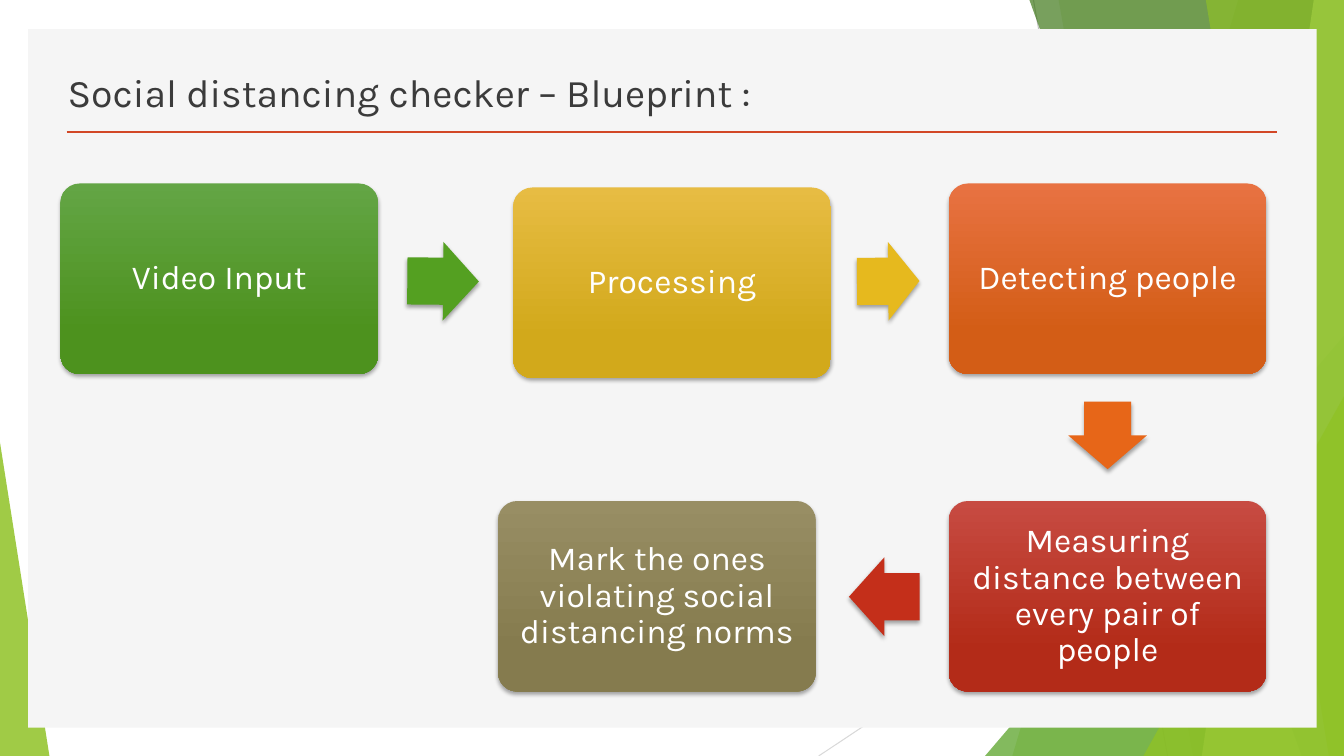
from lxml.etree import SubElement
from pptx import Presentation
from pptx.dml.color import RGBColor
from pptx.enum.shapes import MSO_CONNECTOR, MSO_SHAPE as SHAPE
from pptx.enum.text import MSO_ANCHOR as ANCHOR, MSO_AUTO_SIZE, PP_ALIGN as ALIGN
from pptx.oxml.ns import qn
from pptx.util import Inches, Pt

WIDTH, HEIGHT = 13.33, 7.5
BOX_W, BOX_H = 3.15, 1.89
ARROW_H = 0.78

COLORS = {
    "panel": "F5F5F5", "rule": "D24726", "title": "3B3B3B", "white": "FFFFFF",
    "gray": "BFBFBF", "light_gray": "D9D9D9",
    "lime": "90C226", "green": "54A021", "dark_green": "3F7819", "pale_lime": "C0E474",
    "yellow": "E6B91E", "orange": "E76618", "red": "C42F1A",
}
GRADIENTS = {
    "green": ("63A545", "4D921E"), "yellow": ("E7BC43", "D2A91B"),
    "orange": ("E87242", "D35D16"), "red": ("C74B42", "B32B18"),
    "olive": ("988E64", "857B4E"),
}

# color, opacity, top-left x, bottom-left x of bands reaching the right edge
BANDS_BACK = [("lime", 30, 12.28, 10.04), ("lime", 20, 10.5, 11.83)]
BANDS_FRONT = [("dark_green", 70, 10.21, 12.91), ("pale_lime", 70, 13.03, 11.92),
               ("lime", 65, 11.96, 13.18)]
# text, gradient, left, top
STEPS = [
    ("Video Input", "green", 0.6, 1.82),
    ("Processing", "yellow", 5.09, 1.86),
    ("Detecting people", "orange", 9.41, 1.82),
    ("Measuring distance between every pair of people", "red", 9.41, 4.97),
    ("Mark the ones violating social distancing norms", "olive", 4.94, 4.97),
]
# color, left, top, width, rotation
ARROWS = [
    ("green", 4.04, 2.4, 0.71, 0.5), ("yellow", 8.5, 2.4, 0.62, 359.5),
    ("orange", 10.65, 3.93, 0.67, 90), ("red", 8.42, 5.53, 0.7, 180),
]


def rgb(name):
    return RGBColor.from_string(COLORS[name])


def write(tf, text, size=24, color="white", align=ALIGN.CENTER, anchor=ANCHOR.MIDDLE,
          spacing=0.9, inset=(0.1, 0.05)):
    """Fill a text frame; inset holds the horizontal and vertical margins."""
    tf.word_wrap = True
    tf.auto_size = MSO_AUTO_SIZE.NONE
    tf.vertical_anchor = anchor
    tf.margin_left = tf.margin_right = Inches(inset[0])
    tf.margin_top = tf.margin_bottom = Inches(inset[1])
    p = tf.paragraphs[0]
    p.alignment, p.line_spacing = align, spacing
    r = p.add_run()
    r.text = text
    r.font.name, r.font.size = "Karla", Pt(size)
    r.font.color.rgb = rgb(color)


class Deck:
    def __init__(self, prs):
        self.slide = prs.slides.add_slide(prs.slide_layouts[5])
        self.shapes = self.slide.shapes

    def paint(self, sp, color, opacity=100):
        sp.shadow.inherit = False
        sp.line.fill.background()
        sp.fill.solid()
        sp.fill.fore_color.rgb = rgb(color)
        if opacity < 100:
            tint = sp.fill._xPr.find(".//" + qn("a:srgbClr"))
            SubElement(tint, qn("a:alpha"), val=str(opacity * 1000))

    def drop_shadow(self, sp):
        effects = sp._element.spPr.find(qn("a:effectLst"))
        shadow = SubElement(effects, qn("a:outerShdw"), blurRad=str(Pt(3)), dist=str(Pt(2)),
                            dir="5400000", algn="ctr", rotWithShape="0")
        tint = SubElement(shadow, qn("a:srgbClr"), val="000000")
        SubElement(tint, qn("a:alpha"), val="35000")

    def line(self, x1, y1, x2, y2, color, width):
        c = self.shapes.add_connector(MSO_CONNECTOR.STRAIGHT, *map(Inches, (x1, y1, x2, y2)))
        c.line.color.rgb = rgb(color)
        c.line.width = Pt(width)
        SubElement(c._element.spPr, qn("a:effectLst"))

    def band(self, color, opacity, top_x, bottom_x):
        fb = self.shapes.build_freeform(Inches(top_x), 0)
        corners = [(WIDTH, 0), (WIDTH, HEIGHT), (bottom_x, HEIGHT)]
        fb.add_line_segments([(Inches(x), Inches(y)) for x, y in corners])
        self.paint(fb.convert_to_shape(), color, opacity)

    def shape(self, kind, x, y, w, h, color, adjust=(), opacity=100):
        sp = self.shapes.add_shape(kind, *map(Inches, (x, y, w, h)))
        for i, value in enumerate(adjust):
            sp.adjustments[i] = value
        self.paint(sp, color, opacity)
        return sp

    def title(self, text):
        sp = self.shapes.title
        sp.left, sp.top, sp.width, sp.height = map(Inches, (0.57, 0.49, 7.52, 0.7))
        write(sp.text_frame, text, size=28, color="title", align=ALIGN.LEFT,
              anchor=ANCHOR.BOTTOM, spacing=1)
        sp._element.getparent().append(sp._element)  # bring in front of the panel

    def step(self, text, gradient, x, y):
        sp = self.shape(SHAPE.ROUNDED_RECTANGLE, x, y, BOX_W, BOX_H, "white", (0.1,))
        sp.fill.gradient()
        sp.fill.gradient_angle = 270
        for stop, color, position in zip(sp.fill.gradient_stops, GRADIENTS[gradient], (0, 0.78)):
            stop.color.rgb = RGBColor.from_string(color)
            stop.position = position
        self.drop_shadow(sp)
        write(sp.text_frame, text, inset=(0.14, 0.14))

    def arrow(self, color, x, y, w, rotation):
        sp = self.shape(SHAPE.RIGHT_ARROW, x, y, w, ARROW_H, color, (0.6, 0.5))
        sp.rotation = rotation
        self.drop_shadow(sp)


def main():
    prs = Presentation()
    prs.slide_width, prs.slide_height = Inches(WIDTH), Inches(HEIGHT)
    deck = Deck(prs)

    deck.line(10.25, 0, 11.58, HEIGHT, "gray", 0.75)
    deck.line(WIDTH, 4.03, 8.12, HEIGHT, "light_gray", 0.75)
    for band in BANDS_BACK:
        deck.band(*band)
    deck.shape(SHAPE.ISOSCELES_TRIANGLE, 9.77, 3.33, 3.56, 4.17, "green", (1,), 72)
    for band in BANDS_FRONT:
        deck.band(*band)
    deck.shape(SHAPE.ISOSCELES_TRIANGLE, 11.34, 3.93, 1.99, 3.57, "lime", (1,), 80)
    deck.shape(SHAPE.ISOSCELES_TRIANGLE, 0, 4.39, 0.49, 3.11, "lime", (0,), 85)
    deck.shape(SHAPE.RECTANGLE, 0.28, 0.29, 12.78, 6.93, "panel")
    deck.line(0.66, 1.31, 12.67, 1.31, "rule", 2)

    deck.title("Social distancing checker – Blueprint :")
    for step in STEPS:
        deck.step(*step)
    for arrow in ARROWS:
        deck.arrow(*arrow)
    prs.save("out.pptx")


if __name__ == "__main__":
    main()
